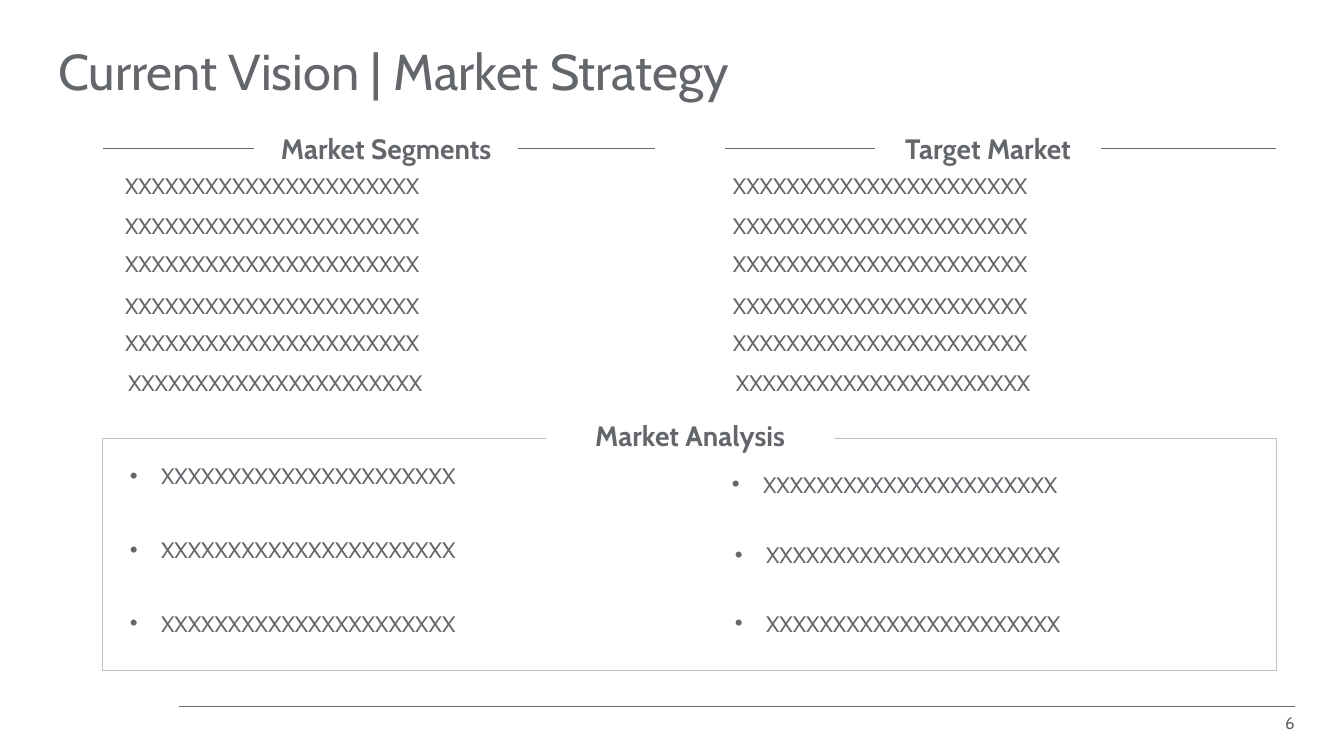
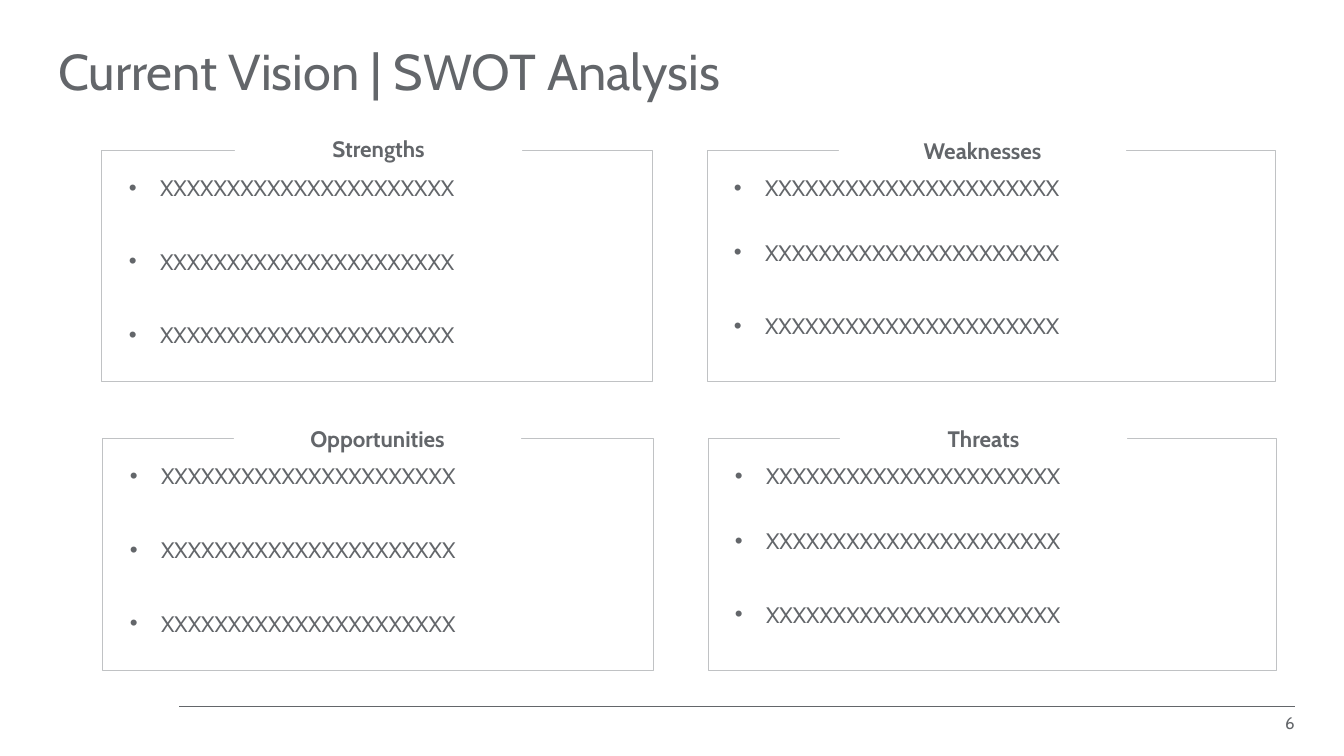
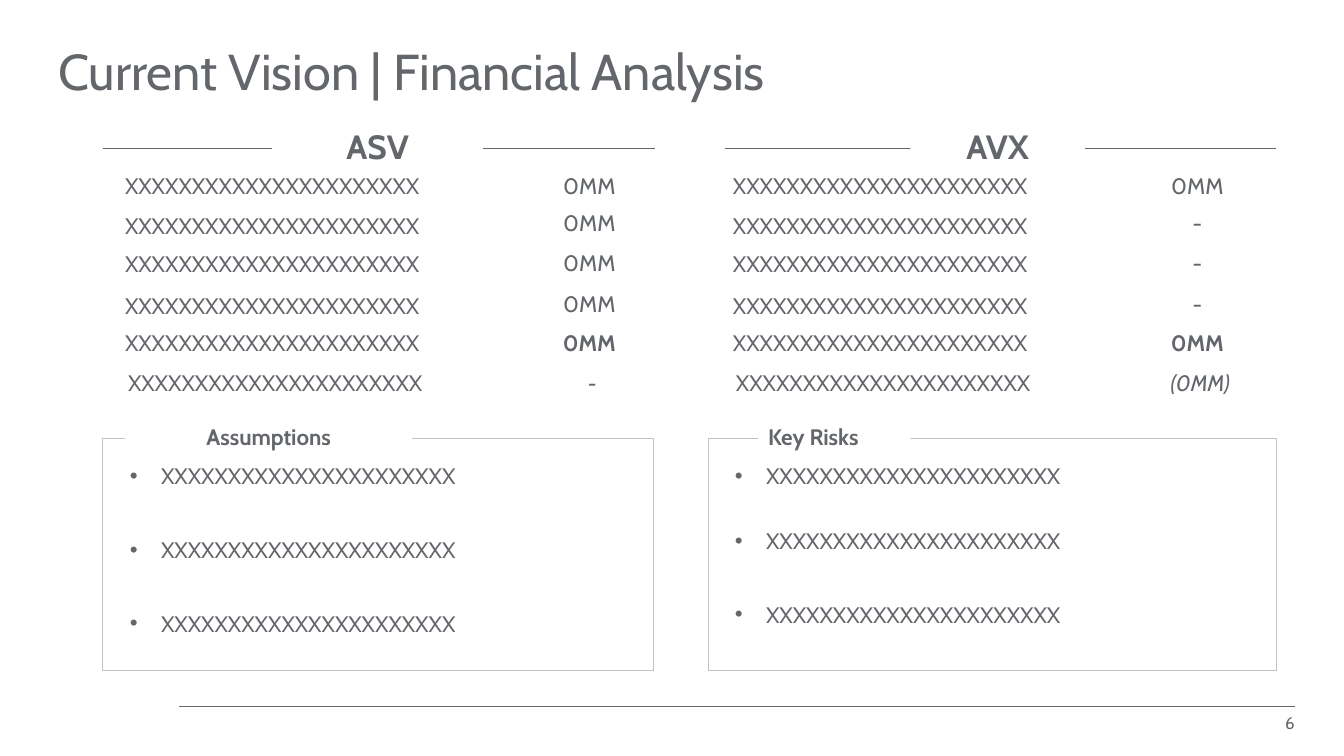
from lxml import etree
from pptx import Presentation
from pptx.dml.color import RGBColor
from pptx.enum.shapes import MSO_CONNECTOR, MSO_SHAPE
from pptx.enum.text import MSO_ANCHOR, MSO_AUTO_SIZE, PP_ALIGN
from pptx.oxml.ns import qn
from pptx.util import Inches, Pt

FONT = "Cabin"
GRAY = RGBColor(0x63, 0x66, 0x6A)
BORDER = RGBColor(0xC0, 0xC2, 0xC4)
WHITE = RGBColor(0xFF, 0xFF, 0xFF)

FILLER = "XXXXXXXXXXXXXXXXXXXXXX"
PAGE_NUMBER = "6"

# Two columns of rows; the last row is set slightly to the right.
COLUMN_LEFTS = (1.24, 7.27)
LABEL_TOPS = (1.71, 2.10, 2.48, 2.90, 3.27, 3.66)
VALUE_TOPS = (1.71, 2.08, 2.47, 2.88, 3.27, 3.66)
VALUE_OFFSET = 4.2
LAST_ROW_SHIFT = 0.03
RULES = ((1.02, 6.5), (7.19, 12.66))
RULE_TOP = 1.47

# Panels: bullet places are offsets from the panel's top left corner.
PANEL_HEIGHT = 2.3
UPPER, LOWER = 1.49, 4.35
LEFT_BULLETS = ((0.17, 0.19), (0.17, 0.92), (0.17, 1.65))
RIGHT_BULLETS = ((0.16, 0.19), (0.16, 0.83), (0.16, 1.56))
WIDE_BULLETS = LEFT_BULLETS + ((6.14, 0.27), (6.17, 0.97), (6.17, 1.65))

# headings: text, left, top, width, height
# panels: (left, top, width), (caption, left, top, width, height), bullets
SLIDES = [
    {
        "title": "Current Vision | Market Strategy",
        "heading_size": 20,
        "headings": [("Market Segments", 2.52, 1.3, 2.62, 0.34),
                     ("Target Market", 8.68, 1.3, 2.24, 0.34)],
        "values": [],
        "caption_size": 20,
        "panels": [((1.02, LOWER, 11.64),
                    ("Market Analysis", 5.42, 4.1, 2.85, 0.44), WIDE_BULLETS)],
    },
    {
        "title": "Current Vision | SWOT Analysis",
        "caption_size": 16,
        "panels": [
            ((1.01, UPPER, 5.46), ("Strengths", 2.33, 1.29, 2.85, 0.37), LEFT_BULLETS),
            ((7.02, UPPER, 5.63), ("Weaknesses", 8.32, 1.31, 2.85, 0.37), RIGHT_BULLETS),
            ((1.02, LOWER, 5.46), ("Opportunities", 2.32, 4.17, 2.85, 0.37), LEFT_BULLETS),
            ((7.03, LOWER, 5.63), ("Threats", 8.33, 4.17, 2.85, 0.37), RIGHT_BULLETS),
        ],
    },
    {
        "title": "Current Vision | Financial Analysis",
        "heading_size": 24,
        "headings": [("ASV", 2.7, 1.25, 2.09, 0.4),
                     ("AVX", 9.03, 1.25, 1.73, 0.4)],
        "values": [("0MM", "0MM", "0MM", "0MM", "0MM", "-"),
                   ("0MM", "-", "-", "-", "0MM", "(0MM)")],
        "caption_size": 16,
        "panels": [
            ((1.02, LOWER, 5.46), ("Assumptions", 1.24, 4.15, 2.85, 0.37), LEFT_BULLETS),
            ((7.03, LOWER, 5.63), ("Key Risks", 7.52, 4.15, 1.51, 0.37), RIGHT_BULLETS),
        ],
    },
]


def write(shape, text, size=16, bold=False, italic=False, align=PP_ALIGN.LEFT,
          anchor=MSO_ANCHOR.TOP, inset=False, grow=True, spacing=None, bullet=False):
    frame = shape.text_frame
    frame.word_wrap = True
    frame.auto_size = MSO_AUTO_SIZE.SHAPE_TO_FIT_TEXT if grow else MSO_AUTO_SIZE.NONE
    frame.vertical_anchor = anchor
    side, edge = (Inches(0.1), Inches(0.05)) if inset else (0, 0)
    frame.margin_left = frame.margin_right = side
    frame.margin_top = frame.margin_bottom = edge
    paragraph = frame.paragraphs[0]
    paragraph.alignment = align
    if spacing:
        paragraph.line_spacing = spacing
    run = paragraph.add_run()
    run.text = text
    font = run.font
    font.name, font.size, font.bold, font.italic = FONT, Pt(size), bold, italic
    font.color.rgb = GRAY
    if bullet:
        properties = paragraph._p.get_or_add_pPr()
        properties.set("marL", str(Inches(0.31)))
        properties.set("indent", str(-Inches(0.31)))
        etree.SubElement(properties, qn("a:buFont")).set("typeface", "Arial")
        etree.SubElement(properties, qn("a:buChar")).set("char", "•")


def add_text(slide, text, left, top, width, height, **text_format):
    box = slide.shapes.add_textbox(*map(Inches, (left, top, width, height)))
    write(box, text, **text_format)


def add_rectangle(slide, left, top, width, height, fill=None, border=None):
    shape = slide.shapes.add_shape(
        MSO_SHAPE.RECTANGLE, *map(Inches, (left, top, width, height)))
    shape.shadow.inherit = False
    if fill is None:
        shape.fill.background()
    else:
        shape.fill.solid()
        shape.fill.fore_color.rgb = fill
    if border is None:
        shape.line.fill.background()
    else:
        shape.line.color.rgb = border
        shape.line.width = Pt(0.75)
    return shape


def add_rule(slide, start, end, top, weight):
    rule = slide.shapes.add_connector(
        MSO_CONNECTOR.STRAIGHT, *map(Inches, (start, top, end, top)))
    rule.line.color.rgb = GRAY
    rule.line.width = Pt(weight)
    etree.SubElement(rule._element.spPr, qn("a:effectLst"))


def add_base(presentation, title):
    """Add a slide with the shared title, footer rule and page number."""
    slide = presentation.slides.add_slide(presentation.slide_layouts[5])
    placeholder = slide.shapes.title
    placeholder.left, placeholder.top = Inches(0.58), Inches(0.24)
    placeholder.width, placeholder.height = Inches(10.05), Inches(1)
    write(placeholder, title, size=36, anchor=MSO_ANCHOR.MIDDLE, grow=False, spacing=0.9)
    add_rule(slide, 1.78, 12.84, 7.01, 0.25)
    add_text(slide, PAGE_NUMBER, 12.48, 7.08, 0.36, 0.2, size=12,
             align=PP_ALIGN.RIGHT, grow=False, spacing=0.99)
    return slide


def add_columns(slide, headings, heading_size, values):
    """Add two ruled headings, each above six rows with optional values."""
    for (start, end), (text, *place) in zip(RULES, headings):
        add_rule(slide, start, end, RULE_TOP, 0.75)
        write(add_rectangle(slide, *place, fill=WHITE), text, size=heading_size,
              bold=True, align=PP_ALIGN.CENTER)
    last = len(LABEL_TOPS) - 1
    for left in COLUMN_LEFTS:
        for row, top in enumerate(LABEL_TOPS):
            shift, width = (LAST_ROW_SHIFT, 4.1) if row == last else (0, 3.06)
            add_text(slide, FILLER, left + shift, top, width, 0.27)
    for left, column in zip(COLUMN_LEFTS, values):
        for row, (value, top) in enumerate(zip(column, VALUE_TOPS)):
            shift = LAST_ROW_SHIFT if row == last else 0
            add_text(slide, value, left + VALUE_OFFSET + shift, top, 0.81, 0.27,
                     bold=row == last - 1, italic=row == last, align=PP_ALIGN.CENTER)


def add_panel(slide, place, caption, bullets, caption_size):
    left, top, width = place
    add_rectangle(slide, left, top, width, PANEL_HEIGHT, border=BORDER)
    text, *caption_place = caption
    write(add_rectangle(slide, *caption_place, fill=WHITE), text, size=caption_size,
          bold=True, anchor=MSO_ANCHOR.MIDDLE, inset=True,
          align=PP_ALIGN.LEFT if text == "Key Risks" else PP_ALIGN.CENTER)
    for across, down in bullets:
        add_text(slide, FILLER, left + across, top + down, 5.13, 0.37,
                 inset=True, bullet=True)


def main():
    presentation = Presentation()
    presentation.slide_width = Inches(13.33)
    presentation.slide_height = Inches(7.5)
    for content in SLIDES:
        slide = add_base(presentation, content["title"])
        if "headings" in content:
            add_columns(slide, content["headings"], content["heading_size"],
                        content["values"])
        for panel in content["panels"]:
            add_panel(slide, *panel, content["caption_size"])
    presentation.save("out.pptx")


if __name__ == "__main__":
    main()
